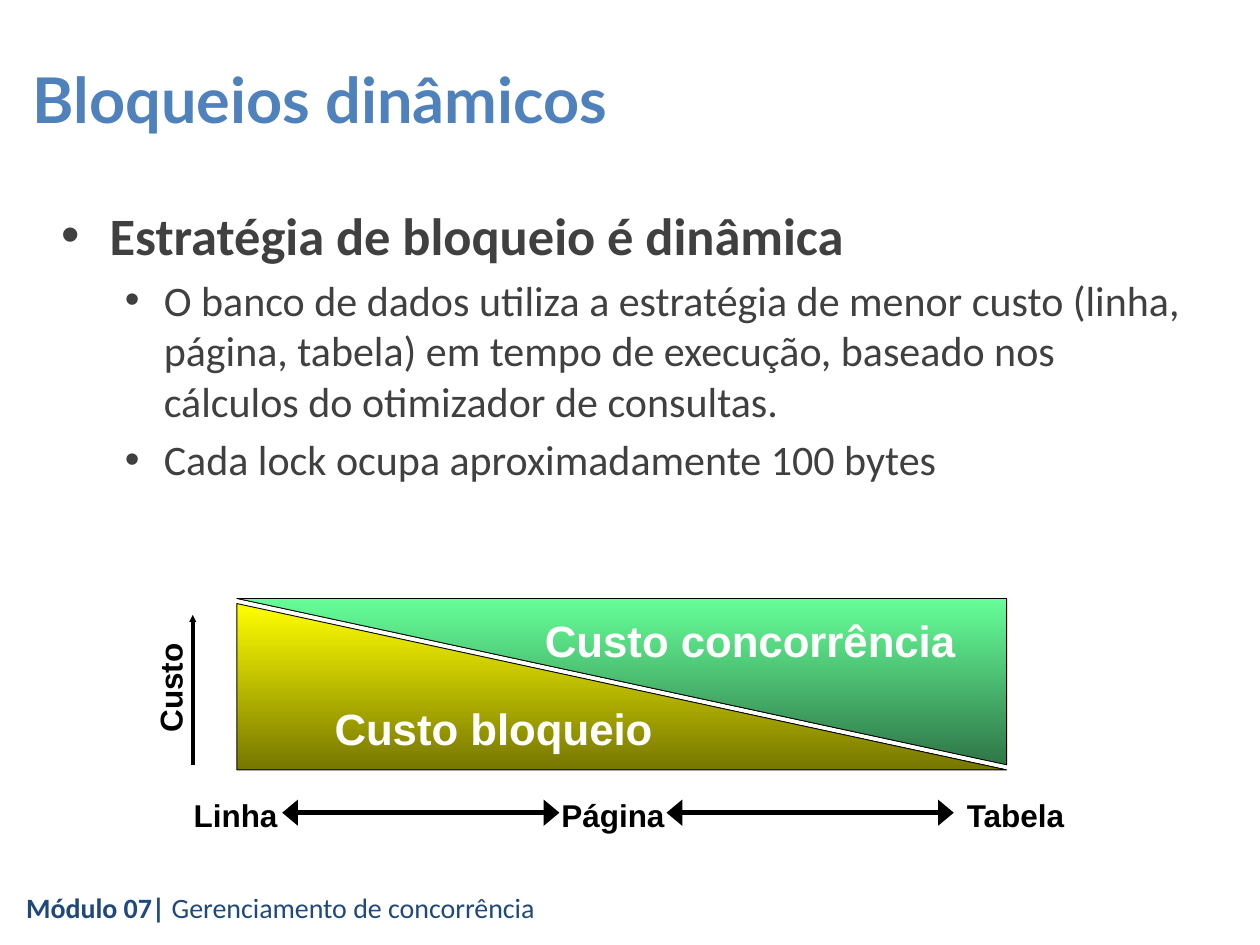
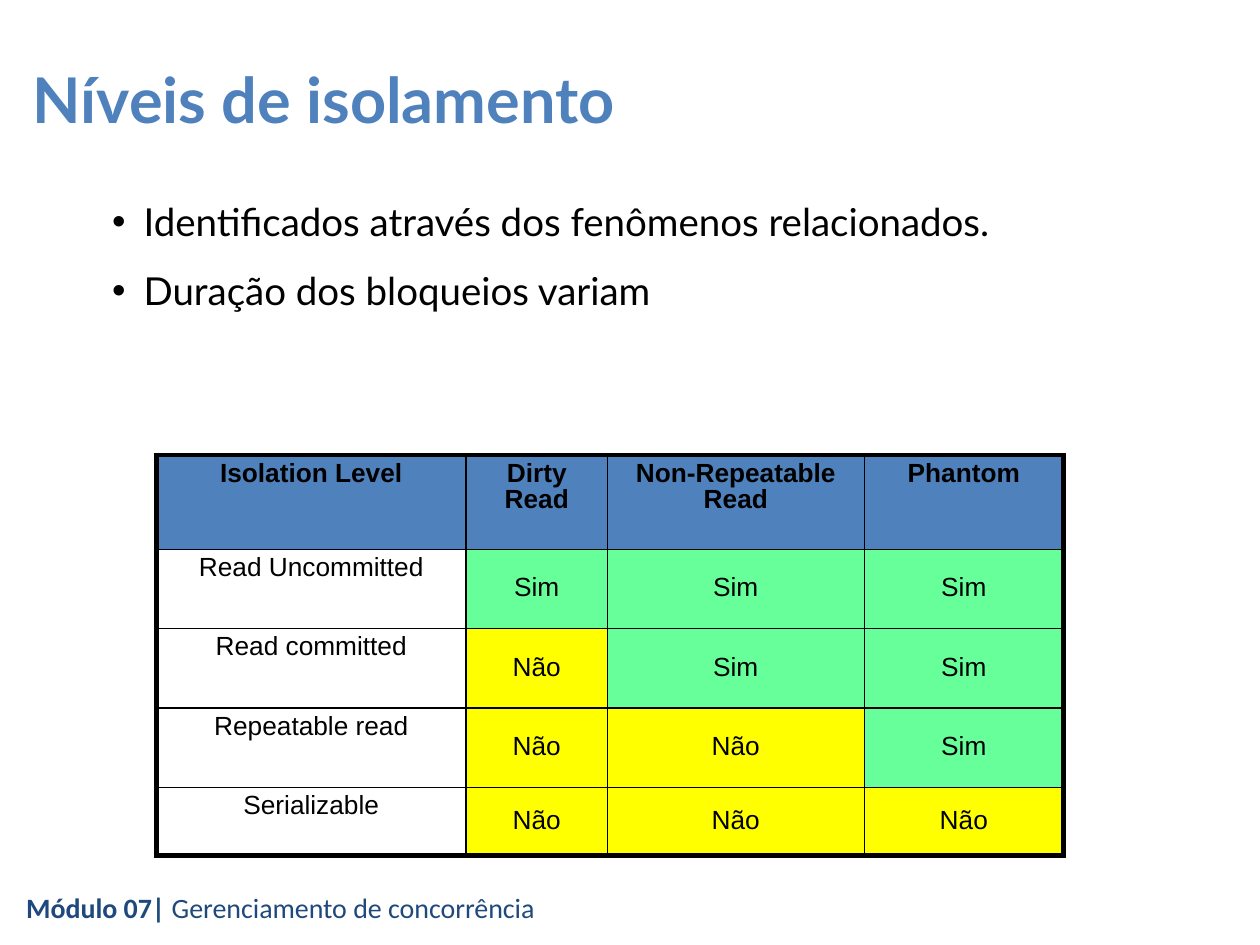
from dataclasses import dataclass
from itertools import accumulate

from lxml import etree
from pptx import Presentation
from pptx.dml.color import RGBColor
from pptx.enum.shapes import MSO_CONNECTOR, MSO_SHAPE
from pptx.enum.text import MSO_ANCHOR, MSO_AUTO_SIZE, PP_ALIGN
from pptx.oxml.ns import qn
from pptx.util import Inches, Pt

CENTER, LEFT = PP_ALIGN.CENTER, PP_ALIGN.LEFT
MIDDLE, TOP = MSO_ANCHOR.MIDDLE, MSO_ANCHOR.TOP
NO_AUTOFIT = MSO_AUTO_SIZE.NONE
RIGHT_TRIANGLE = MSO_SHAPE.RIGHT_TRIANGLE
STRAIGHT = MSO_CONNECTOR.STRAIGHT

BLACK, WHITE, GRAY = "000000", "FFFFFF", "404040"
BLUE, NAVY = "4F81BD", "1F497D"
YELLOW, DARK_YELLOW = "FFFF00", "767600"
GREEN, DARK_GREEN = "66FF99", "2F7647"
ARIAL, CALIBRI, LATO = "Arial", "Calibri", "Lato"
TITLE_AND_CONTENT = 1


@dataclass(frozen=True)
class TextStyle:
    font: str
    size: float
    color: str
    bold: bool = False


@dataclass(frozen=True)
class Bullet:
    text: str
    style: TextStyle
    level: int
    margin: float
    hanging: float
    space_before: float = 0
    line_spacing: float = 1.0


@dataclass(frozen=True)
class Triangle:
    text: str
    top: float
    start_color: str
    end_color: str
    flipped: bool = False


@dataclass(frozen=True)
class AxisLabel:
    text: str
    left: float
    top: float
    width: float
    rotation: float = 0


@dataclass(frozen=True)
class Arrow:
    start: tuple[float, float]
    end: tuple[float, float]
    width: float
    head_width: str
    head_length: str
    double: bool = True


TITLE_STYLE = TextStyle(LATO, 36, BLUE, True)
FOOTER_STYLE = TextStyle(CALIBRI, 16, NAVY)
FOOTER_BOLD = TextStyle(CALIBRI, 16, NAVY, True)
STRATEGY_STYLE = TextStyle(CALIBRI, 30, GRAY, True)
DETAIL_STYLE = TextStyle(CALIBRI, 24, GRAY)
ISOLATION_STYLE = TextStyle(LATO, 22, BLACK)
COST_STYLE = TextStyle(ARIAL, 25, WHITE, True)
AXIS_STYLE = TextStyle(ARIAL, 18, BLACK, True)
HEADER_STYLE = TextStyle(ARIAL, 15, BLACK, True)
CELL_STYLE = TextStyle(ARIAL, 15, BLACK)

STRATEGY_BULLETS = [
    Bullet("Estratégia de bloqueio é dinâmica", STRATEGY_STYLE, 0, 0.38, 0.38),
    Bullet(
        "O banco de dados utiliza a estratégia de menor custo (linha, página, tabela) "
        "em tempo de execução, baseado nos cálculos do otimizador de consultas.",
        DETAIL_STYLE, 1, 0.81, 0.31, 4.8,
    ),
    Bullet("Cada lock ocupa aproximadamente 100 bytes", DETAIL_STYLE, 1, 0.81, 0.31, 4.8),
]
ISOLATION_BULLETS = [
    Bullet(text, ISOLATION_STYLE, 1, 0.5, 0.25, line_spacing=1.5)
    for text in (
        "Identificados através dos fenômenos relacionados.",
        "Duração dos bloqueios variam",
    )
]
COST_TRIANGLES = [
    Triangle("Custo bloqueio", 4.79, YELLOW, DARK_YELLOW),
    Triangle("Custo concorrência", 4.75, DARK_GREEN, GREEN, True),
]
AXIS_LABELS = [
    AxisLabel("Linha", 1.43, 6.27, 0.88),
    AxisLabel("Página", 4.35, 6.27, 1.03),
    AxisLabel("Tabela", 7.57, 6.27, 0.98),
    AxisLabel("Custo", 0.89, 5.26, 0.92, 270),
]
AXIS_ARROWS = [
    Arrow((2.24, 6.45), (4.44, 6.45), 3, "lg", "med"),
    Arrow((5.29, 6.45), (7.57, 6.45), 3, "lg", "med"),
    Arrow((1.53, 6.07), (1.53, 4.88), 2, "sm", "sm", False),
]
PHENOMENA = ["Isolation Level", "Dirty Read", "Non-Repeatable Read", "Phantom"]
# Each level prevents the first N phenomena.
PREVENTED = {
    "Read Uncommitted": 0,
    "Read committed": 1,
    "Repeatable read": 2,
    "Serializable": 3,
}
COLUMN_WIDTHS = [2.46, 1.12, 2.04, 1.58]
ROW_HEIGHTS = [0.75, 0.63, 0.63, 0.63, 0.54]


def rgb(color: str) -> RGBColor:
    return RGBColor.from_string(color)


def place(shape, left: float, top: float, width: float, height: float) -> None:
    shape.left, shape.top = Inches(left), Inches(top)
    shape.width, shape.height = Inches(width), Inches(height)


def add_run(paragraph, text: str, style: TextStyle) -> None:
    run = paragraph.add_run()
    run.text = text
    run.font.name, run.font.size = style.font, Pt(style.size)
    run.font.bold = style.bold
    run.font.color.rgb = rgb(style.color)


def write_centered(frame, text: str, style: TextStyle) -> None:
    frame.word_wrap = False
    frame.vertical_anchor = MIDDLE
    frame.paragraphs[0].alignment = CENTER
    add_run(frame.paragraphs[0], text, style)


def add_footer(slide) -> None:
    box = slide.shapes.add_textbox(Inches(0.11), Inches(7.02), Inches(8.56), Inches(0.4))
    box.text_frame.word_wrap = True
    paragraph = box.text_frame.paragraphs[0]
    add_run(paragraph, "Módulo 07| ", FOOTER_BOLD)
    add_run(paragraph, "Gerenciamento de concorrência", FOOTER_STYLE)


def add_module_slide(presentation, title: str):
    """Add a slide with the shared title style and module footer."""
    slide = presentation.slides.add_slide(presentation.slide_layouts[TITLE_AND_CONTENT])
    shape = slide.shapes.title
    place(shape, 0.16, 0.39, 9.84, 0.78)
    shape.text_frame.auto_size = NO_AUTOFIT
    shape.text_frame.vertical_anchor = MIDDLE
    paragraph = shape.text_frame.paragraphs[0]
    paragraph.alignment = LEFT
    add_run(paragraph, title, TITLE_STYLE)
    add_footer(slide)
    return slide


def fill_body(slide, bullets: list[Bullet], bounds: tuple[float, float, float, float]) -> None:
    body = slide.placeholders[1]
    place(body, *bounds)
    frame = body.text_frame
    frame.auto_size = NO_AUTOFIT
    frame.vertical_anchor = TOP
    for index, bullet in enumerate(bullets):
        paragraph = frame.add_paragraph() if index else frame.paragraphs[0]
        properties = paragraph._p.get_or_add_pPr()
        properties.set("marL", str(Inches(bullet.margin)))
        properties.set("indent", str(-Inches(bullet.hanging)))
        etree.SubElement(properties, qn("a:buChar"), char="•")
        paragraph.level = bullet.level
        paragraph.space_before = Pt(bullet.space_before)
        paragraph.line_spacing = bullet.line_spacing
        add_run(paragraph, bullet.text, bullet.style)


def add_triangle(slide, triangle: Triangle) -> None:
    shape = slide.shapes.add_shape(
        RIGHT_TRIANGLE, Inches(1.88), Inches(triangle.top), Inches(6.11), Inches(1.32)
    )
    shape.shadow.inherit = False
    shape.fill.gradient()
    shape.fill.gradient_angle = 270
    for stop, color in zip(
        shape.fill.gradient_stops, (triangle.start_color, triangle.end_color)
    ):
        stop.color.rgb = rgb(color)
    shape.line.color.rgb = rgb(BLACK)
    shape.line.width = Pt(0.5)
    write_centered(shape.text_frame, triangle.text, COST_STYLE)
    if triangle.flipped:
        transform = shape.element.spPr.find(qn("a:xfrm"))
        transform.set("flipH", "1")
        transform.set("flipV", "1")
        shape.text_frame._txBody.bodyPr.set("rot", str(180 * 60000))


def add_axis_label(slide, label: AxisLabel) -> None:
    box = slide.shapes.add_textbox(
        Inches(label.left), Inches(label.top), Inches(label.width), Inches(0.4)
    )
    box.rotation = label.rotation
    write_centered(box.text_frame, label.text, AXIS_STYLE)


def add_arrow(slide, arrow: Arrow) -> None:
    points = [Inches(value) for value in (*arrow.start, *arrow.end)]
    connector = slide.shapes.add_connector(STRAIGHT, *points)
    connector.line.color.rgb = rgb(BLACK)
    connector.line.width = Pt(arrow.width)
    line = connector.line._get_or_add_ln()
    for end in ("headEnd", "tailEnd") if arrow.double else ("tailEnd",):
        etree.SubElement(
            line, qn(f"a:{end}"), type="triangle", w=arrow.head_width, len=arrow.head_length
        )
    etree.SubElement(connector.element.spPr, qn("a:effectLst"))


def set_borders(cell, row: int, column: int) -> None:
    """Draw thick lines on the outside of the table and thin ones inside."""
    outer = {
        "lnL": column == 0,
        "lnR": column == len(COLUMN_WIDTHS) - 1,
        "lnT": row == 0,
        "lnB": row == len(ROW_HEIGHTS) - 1,
    }
    properties = cell._tc.get_or_add_tcPr()
    for side, is_outer in outer.items():
        line = etree.SubElement(properties, qn(f"a:{side}"), w=str(Pt(3 if is_outer else 1)))
        fill = etree.SubElement(line, qn("a:solidFill"))
        etree.SubElement(fill, qn("a:srgbClr"), val=BLACK)


def add_isolation_table(slide) -> None:
    width, height = list(accumulate(COLUMN_WIDTHS))[-1], list(accumulate(ROW_HEIGHTS))[-1]
    table = slide.shapes.add_table(
        len(ROW_HEIGHTS), len(COLUMN_WIDTHS),
        Inches(1.24), Inches(3.61), Inches(width), Inches(height),
    ).table
    table.first_row = table.horz_banding = False
    for column, column_width in zip(table.columns, COLUMN_WIDTHS):
        column.width = Inches(column_width)
    for table_row, row_height in zip(table.rows, ROW_HEIGHTS):
        table_row.height = Inches(row_height)

    rows = [PHENOMENA] + [
        [level] + ["Não"] * prevented + ["Sim"] * (3 - prevented)
        for level, prevented in PREVENTED.items()
    ]
    answer_fills = {"Sim": GREEN, "Não": YELLOW}
    for row, texts in enumerate(rows):
        for column, text in enumerate(texts):
            cell = table.cell(row, column)
            set_borders(cell, row, column)
            cell.fill.solid()
            cell.fill.fore_color.rgb = rgb(answer_fills.get(text, WHITE if row else BLUE))
            cell.vertical_anchor = MIDDLE if text in answer_fills else TOP
            paragraph = cell.text_frame.paragraphs[0]
            paragraph.alignment = CENTER
            paragraph.line_spacing = 0.9
            add_run(paragraph, text, CELL_STYLE if row else HEADER_STYLE)


def main() -> None:
    presentation = Presentation()
    presentation.slide_width, presentation.slide_height = Inches(10), Inches(7.5)

    locking = add_module_slide(presentation, "Bloqueios dinâmicos")
    fill_body(locking, STRATEGY_BULLETS, (0.39, 1.56, 9.14, 3.2))
    for triangle in COST_TRIANGLES:
        add_triangle(locking, triangle)
    for label in AXIS_LABELS:
        add_axis_label(locking, label)
    for arrow in AXIS_ARROWS:
        add_arrow(locking, arrow)

    isolation = add_module_slide(presentation, "Níveis de isolamento")
    fill_body(isolation, ISOLATION_BULLETS, (0.54, 1.34, 8.86, 1.2))
    add_isolation_table(isolation)

    presentation.save("out.pptx")


if __name__ == "__main__":
    main()
